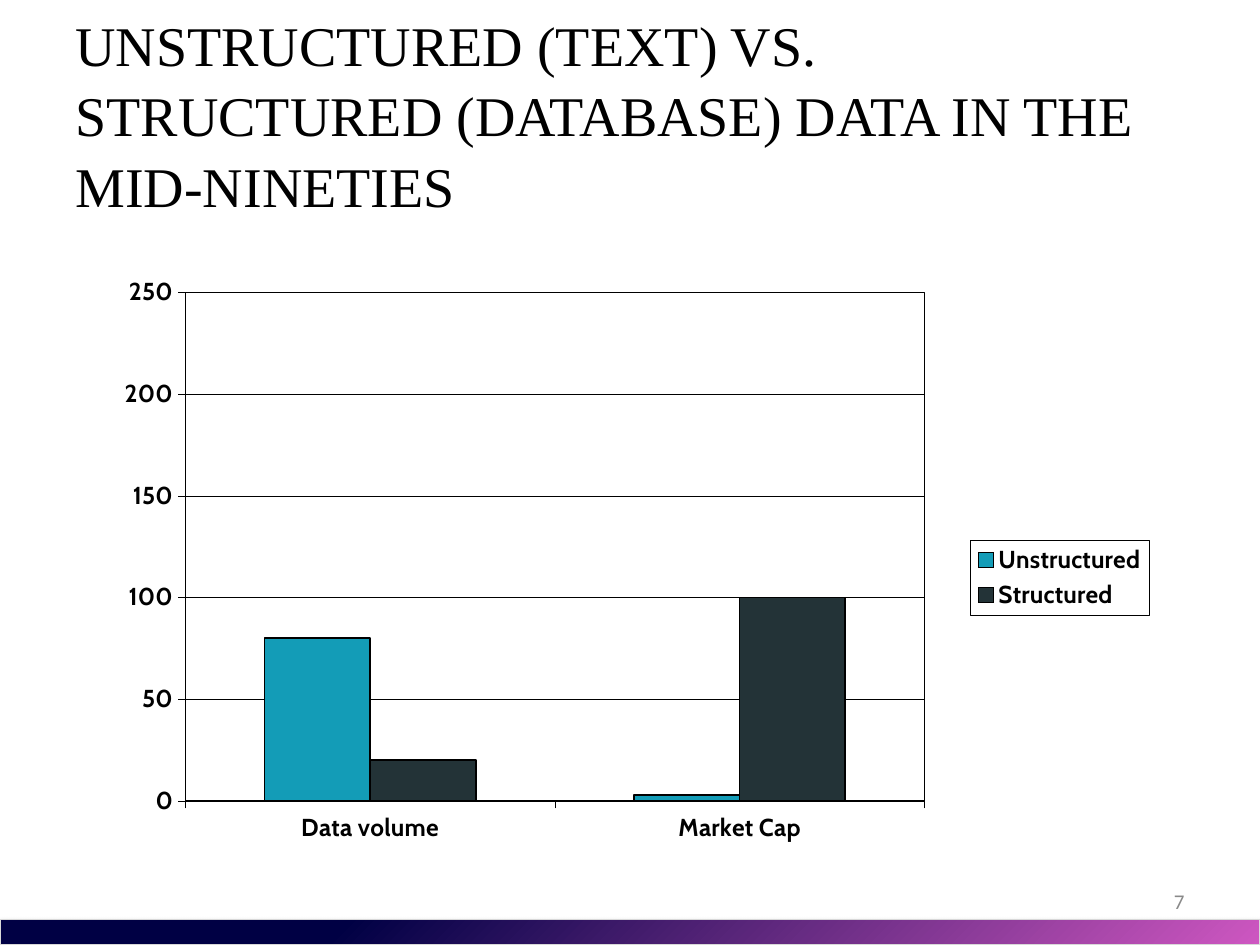
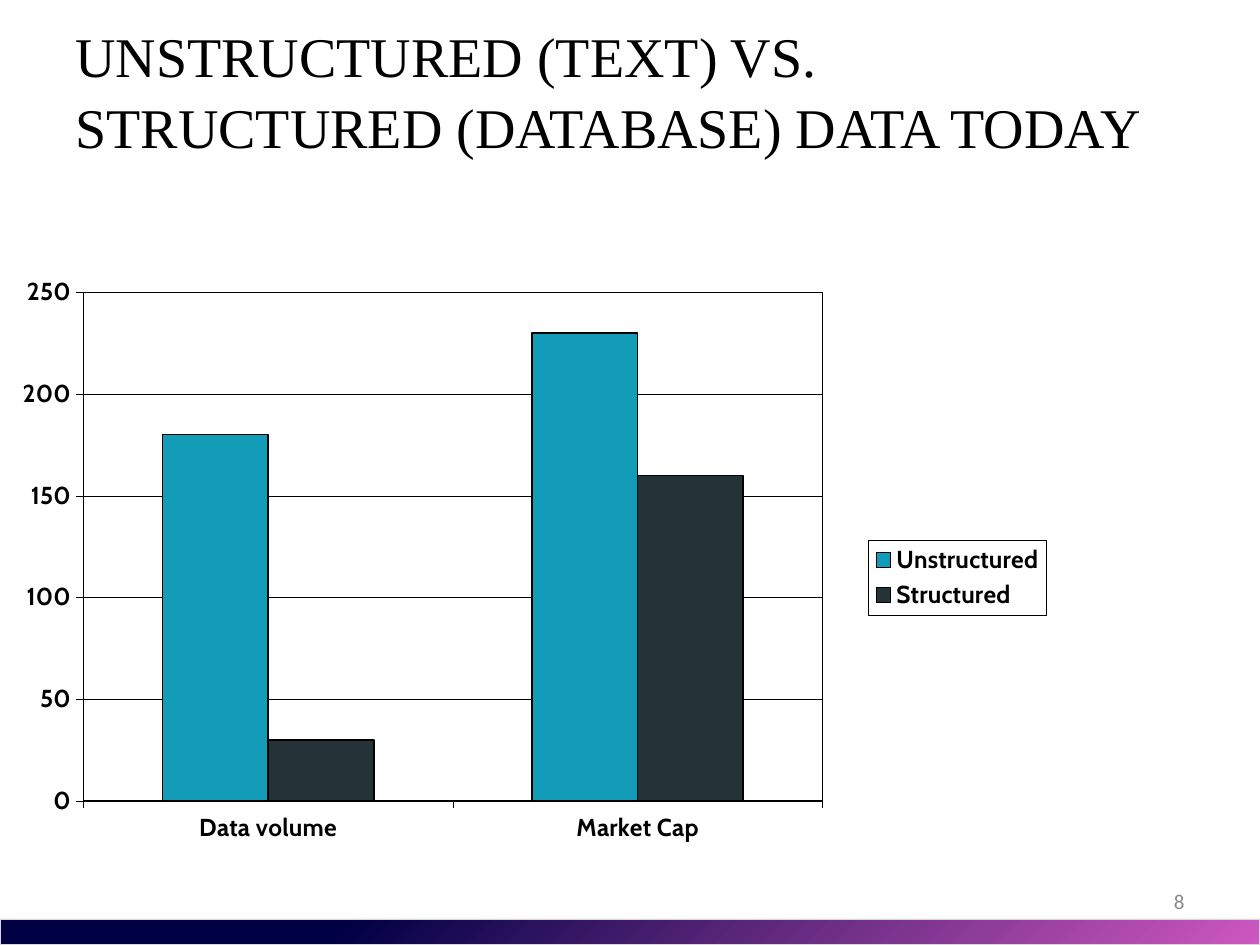
from lxml import etree
from pptx import Presentation
from pptx import util as u
from pptx.chart.data import CategoryChartData
from pptx.dml.color import RGBColor
from pptx.enum import chart as ch, shapes, text
from pptx.oxml import parse_xml
from pptx.oxml.ns import nsdecls, qn

# Content
CATEGORIES = ["Data volume", "Market Cap"]
SLIDES = [
    {"title": "UNSTRUCTURED (TEXT) VS. STRUCTURED (DATABASE) DATA IN THE MID-NINETIES",
     "title_top": 0.5, "number": "7", "chart_left": 0.81,
     "series": {"Unstructured": (80, 3), "Structured": (20, 100)}},
    {"title": "UNSTRUCTURED (TEXT) VS. STRUCTURED (DATABASE) DATA TODAY",
     "title_top": 0.31, "number": "8", "chart_left": 0,
     "series": {"Unstructured": (180, 230), "Structured": (30, 160)}},
]

# Shared look
WIDTH, HEIGHT, BAND_HEIGHT = 10, 7.5, 0.2
MARGIN = WIDTH * 0.05
BLACK = RGBColor(0x00, 0x00, 0x00)
GREY = RGBColor(0x89, 0x89, 0x89)
BAND_EDGE = RGBColor(0xD8, 0xD8, 0xD8)
BAND_STOPS = [(0.27, RGBColor(0x00, 0x00, 0x44)), (1, RGBColor(0xCE, 0x57, 0xC1))]
SERIES_COLORS = [RGBColor(0x13, 0x9C, 0xB7), RGBColor(0x23, 0x33, 0x37)]
TITLE_FONT = {"name": "Times New Roman", "size": u.Pt(32)}
NUMBER_FONT = {"name": "Calibri", "size": u.Pt(12)}
CHART_FONT = {"name": "Cabin", "size": u.Pt(14), "bold": True}
PLOT_SHARES = {"x": 0.079, "y": 0.035, "w": 0.699, "h": 0.829}
THIN, OUTLINE = 0.23, 0.92


def set_font(font, look, color):
    for name, value in look.items():
        setattr(font, name, value)
    font.color.rgb = color


def set_line(line, width, color=BLACK):
    line.color.rgb = color
    line.width = u.Pt(width)


def border_xml(width):
    return (f'<c:spPr {nsdecls("c", "a")}><a:noFill/><a:ln w="{u.Pt(width)}"><a:solidFill>'
            f'<a:srgbClr val="{BLACK}"/></a:solidFill></a:ln></c:spPr>')


def add_text(s, box, words, look, color, align):
    tf = s.shapes.add_textbox(*map(u.Inches, box)).text_frame
    tf.word_wrap = True
    tf.vertical_anchor = text.MSO_ANCHOR.MIDDLE
    p = tf.paragraphs[0]
    p.alignment = align
    r = p.add_run()
    r.text = words
    set_font(r.font, look, color)
    return p


def add_band(s):
    box = (0, HEIGHT - BAND_HEIGHT, WIDTH, BAND_HEIGHT)
    sp = s.shapes.add_shape(shapes.MSO_SHAPE.RECTANGLE, *map(u.Inches, box))
    sp.rotation = 180
    sp.fill.gradient()
    sp.fill.gradient_angle = 135
    for stop, (position, color) in zip(sp.fill.gradient_stops, BAND_STOPS):
        stop.position = position
        stop.color.rgb = color
    set_line(sp.line, 0.75, BAND_EDGE)
    sp.shadow.inherit = False
    effects = sp._element.spPr.find(qn("a:effectLst"))
    effects.append(parse_xml(
        f'<a:outerShdw {nsdecls("a")} blurRad="{u.Pt(3.1)}" dist="{u.Pt(1.8)}" dir="5400000" '
        'rotWithShape="0"><a:srgbClr val="000000"><a:alpha val="35000"/></a:srgbClr></a:outerShdw>'))


def place_plot(chart):
    plot_area = chart._chartSpace.chart.plotArea
    for old in plot_area.findall(qn("c:layout")):
        plot_area.remove(old)
    layout = etree.Element(qn("c:layout"))
    manual = etree.SubElement(layout, qn("c:manualLayout"))
    settings = {"layoutTarget": "inner", "xMode": "edge", "yMode": "edge", **PLOT_SHARES}
    for name, value in settings.items():
        etree.SubElement(manual, qn(f"c:{name}")).set("val", str(value))
    plot_area.insert(0, layout)
    plot_area.append(parse_xml(border_xml(OUTLINE)))


def add_columns(s, left, series):
    data = CategoryChartData()
    data.categories = CATEGORIES
    for name, values in series.items():
        data.add_series(name, values)
    box = (left, 2.15, 8.39, 4.87)
    chart = s.shapes.add_chart(ch.XL_CHART_TYPE.COLUMN_CLUSTERED,
                               *map(u.Inches, box), data).chart
    chart.has_title = False
    set_font(chart.font, CHART_FONT, BLACK)

    # Columns
    plot = chart.plots[0]
    plot.gap_width, plot.overlap, plot.vary_by_categories = 150, 0, False
    for column, color in zip(plot.series, SERIES_COLORS):
        column.format.fill.solid()
        column.format.fill.fore_color.rgb = color
        set_line(column.format.line, OUTLINE)

    # Axes
    for axis in (chart.category_axis, chart.value_axis):
        axis.major_tick_mark = ch.XL_TICK_MARK.OUTSIDE
        axis.minor_tick_mark = ch.XL_TICK_MARK.NONE
        set_font(axis.tick_labels.font, CHART_FONT, BLACK)
        set_line(axis.format.line, THIN)
    chart.category_axis.tick_label_position = ch.XL_TICK_LABEL_POSITION.LOW
    scale = chart.value_axis
    scale.minimum_scale, scale.maximum_scale, scale.major_unit = 0, 250, 50
    set_line(scale.major_gridlines.format.line, THIN)

    # Legend
    chart.has_legend = True
    chart.legend.position = ch.XL_LEGEND_POSITION.RIGHT
    chart.legend.include_in_layout = False
    set_font(chart.legend.font, CHART_FONT, BLACK)
    chart.legend._element.find(qn("c:txPr")).addprevious(parse_xml(border_xml(THIN)))
    place_plot(chart)


def main():
    prs = Presentation()
    prs.slide_width, prs.slide_height = u.Inches(WIDTH), u.Inches(HEIGHT)
    for content in SLIDES:
        s = prs.slides.add_slide(prs.slide_layouts[6])
        add_band(s)
        title = add_text(s, (MARGIN, content["title_top"], 9.11, 0.79), content["title"],
                         TITLE_FONT, BLACK, text.PP_ALIGN.LEFT)
        title.line_spacing = 1.05
        add_text(s, (WIDTH - MARGIN - 2.33, 6.95, 2.33, 0.4), content["number"],
                 NUMBER_FONT, GREY, text.PP_ALIGN.RIGHT)
        add_columns(s, content["chart_left"], content["series"])
    prs.save("out.pptx")


if __name__ == "__main__":
    main()
